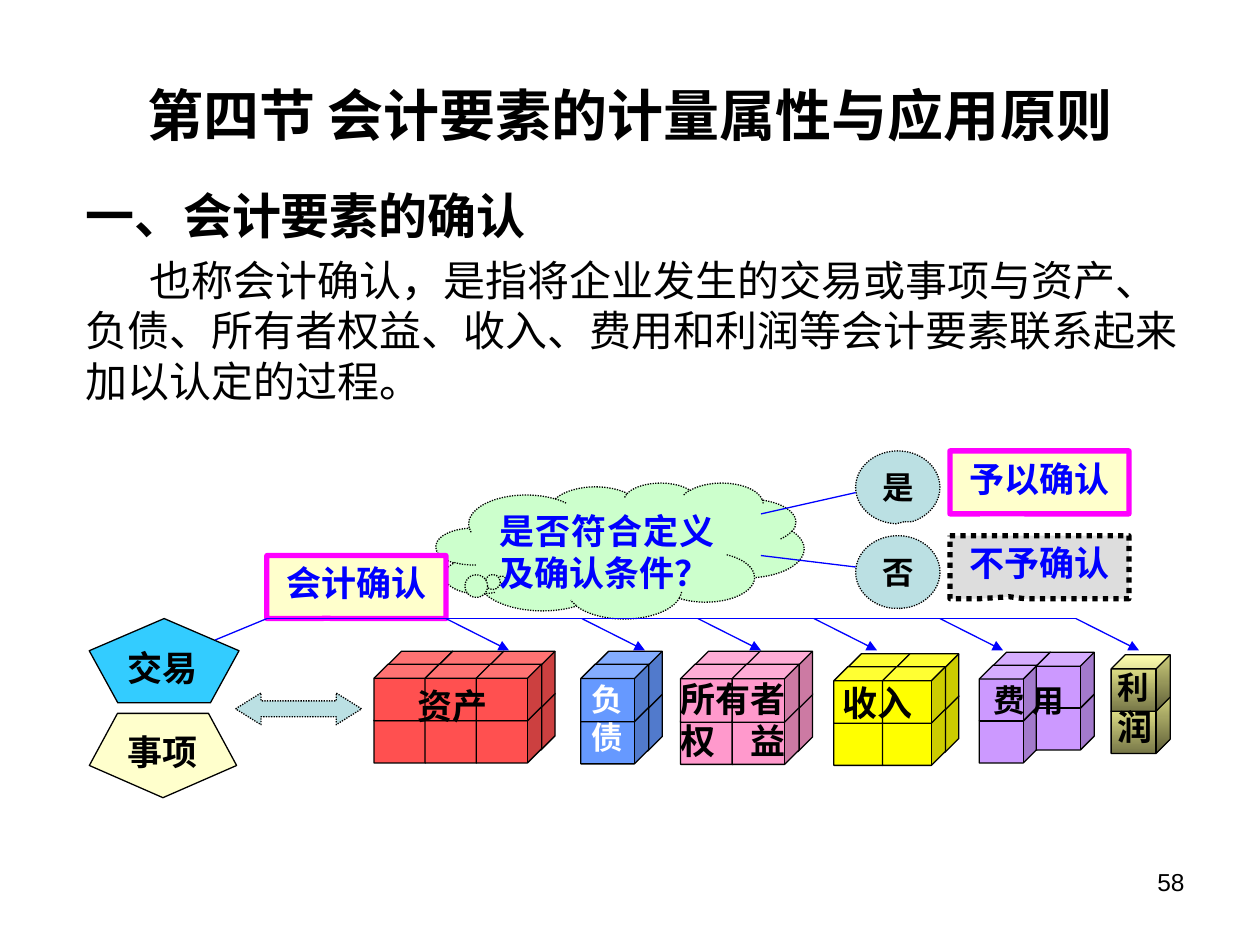
import pptx
import pptx.util
from lxml import etree
from pptx.dml.color import RGBColor
from pptx.enum.dml import MSO_LINE
from pptx.enum.shapes import MSO_CONNECTOR, MSO_SHAPE
from pptx.enum.text import MSO_ANCHOR, PP_ALIGN
from pptx.oxml.ns import qn
from pptx.util import Cm, Pt

BLACK, WHITE = RGBColor(0, 0, 0), RGBColor(255, 255, 255)
BLUE, PINK = RGBColor(0, 0, 255), RGBColor(255, 0, 255)
CREAM, SKY = RGBColor(255, 255, 204), RGBColor(0x33, 0xCC, 255)
MINT, TEAL = RGBColor(204, 255, 204), RGBColor(0xBB, 0xE0, 0xE3)
GREY, RED = RGBColor(0xDD, 0xDD, 0xDD), RGBColor(255, 0x50, 0x50)
AZURE, ROSE = RGBColor(0x66, 0x99, 255), RGBColor(255, 0x99, 204)
YELLOW, LILAC = RGBColor(255, 255, 0), RGBColor(204, 0x99, 255)
STRAW, OLIVE = RGBColor(255, 255, 0x99), RGBColor(0x76, 0x76, 0x47)
ARIAL, TIMES, NOTO = "Arial", "Times New Roman", "Noto Sans CJK SC"
LEFT, MID, RIGHT = PP_ALIGN.LEFT, PP_ALIGN.CENTER, PP_ALIGN.RIGHT

TITLE = "第四节 会计要素的计量属性与应用原则"
HEAD = "一、会计要素的确认"
BODY = ("也称会计确认，是指将企业发生的交易或事项与资产、负债、所有者权益、"
        "收入、费用和利润等会计要素联系起来加以认定的过程。")

# box, fill, turn, label, label top
SOURCES = [
    ((1.8, 14.38, 2.97, 1.7), CREAM, 180, "事项", 14.6),
    ((1.8, 12.47, 3.02, 1.7), SKY, 0, "交易", 12.9),
]
# fill, front left, front top, cube width, cube height, column step,
# cubes deep in each column
STACKS = [
    (RED, 7.54, 13.39, 1.32, 1.14, 1.03, (2, 2, 2)),
    (AZURE, 11.71, 13.39, 1.37, 1.16, 0, (2,)),
    (ROSE, 13.72, 13.39, 1.35, 1.17, 1.04, (2, 2)),
    (YELLOW, 16.81, 13.44, 1.27, 1.14, 0.98, (2, 2)),
    (LILAC, 19.74, 13.41, 1.17, 1.12, 0.88, (2, 1)),
    (None, 22.13, 13.46, 1.19, 1.14, 0, (1,)),
]
RISE, BACK, LIFT = 0.85, 0.27, 0.26
# box, alignment, colour, paragraphs of (text, size) runs
NAMES = [
    ((7.9, 13.67, 2.44, 1.42), MID, BLACK, [[("资产", 20)]]),
    ((11.68, 13.59, 0.99, 1.24), MID, WHITE, [[("负债", 18)]]),
    ((13.39, 13.54, 2.77, 1.88), MID, BLACK, [[("所有者", 20)], [("权　益", 20)]]),
    ((16.74, 13.61, 2.21, 1.42), LEFT, BLACK, [[("收入", 20)]]),
    ((19.71, 13.61, 2.06, 1.4), MID, BLACK, [[("费 用", 18)]]),
    ((22.28, 13.34, 1.14, 2.06), MID, BLACK, [[("利", 18), ("润", 20)]]),
]
CLOUD = MSO_SHAPE.CLOUD_CALLOUT
RECT = MSO_SHAPE.RECTANGULAR_CALLOUT
OVAL = MSO_SHAPE.OVAL_CALLOUT
# kind, box, pointer, fill, line, width, dotted, label, size, font, colour, align
CALLS = [
    (CLOUD, (8.79, 9.73, 7.42, 2.74), (-0.321, 0.215), MINT, BLACK, 0.75, True,
     "是否符合定义及确认条件？", 20, TIMES, BLUE, PP_ALIGN.JUSTIFY),
    (RECT, (5.38, 11.2, 3.61, 1.27), (-0.159, 0.497), CREAM, PINK, 3, False,
     "会计确认", 20, ARIAL, BLUE, MID),
    (OVAL, (17.25, 9.09, 1.7, 1.47), (0.073, 0.473), TEAL, BLACK, 0.75, True,
     "是", 18, ARIAL, BLACK, MID),
    (RECT, (19.15, 9.09, 3.61, 1.27), (-0.248, 0.497), CREAM, PINK, 3, False,
     "予以确认", 20, ARIAL, BLUE, MID),
    (OVAL, (17.25, 10.8, 1.7, 1.47), (0.031, 0.497), TEAL, BLACK, 0.75, True,
     "否", 18, ARIAL, BLACK, MID),
    (RECT, (19.15, 10.8, 3.61, 1.27), (-0.169, 0.469), GREY, BLACK, 3, True,
     "不予确认", 20, ARIAL, BLUE, MID),
]
RAIL = 12.47
LINES = [
    (5.38, RAIL, 21.69, RAIL), (5.38, RAIL, 4.34, 12.9),
    (15.34, 10.36, 17.25, 9.93), (15.34, 11.2, 17.25, 11.43),
]
DROPS = [8.99, 11.73, 14.07, 16.41, 18.95, 21.69]

deck = pptx.Presentation()
deck.slide_width, deck.slide_height = Cm(25.4), Cm(19.05)
slide = deck.slides.add_slide(deck.slide_layouts[5])
shapes = slide.shapes


def place(box):
    return [Cm(v) for v in box]


def write(para, text, size, font, color=BLACK, bold=True):
    run = para.add_run()
    run.text = text
    run.font.size, run.font.bold, run.font.name = Pt(size), bold, font
    run.font.color.rgb = color
    east = etree.SubElement(run.font._element, qn("a:ea"))
    east.set("typeface", NOTO)


def label(frame, paras, font, color=BLACK, align=MID, bold=True):
    """Fill a text frame with paragraphs of (text, size) runs."""
    frame.word_wrap = True
    frame.vertical_anchor = MSO_ANCHOR.TOP
    for i, runs in enumerate(paras):
        para = frame.add_paragraph() if i else frame.paragraphs[0]
        para.alignment = align
        for text, size in runs:
            write(para, text, size, font, color, bold)


def note(box, *args, **opts):
    label(shapes.add_textbox(*place(box)).text_frame, *args, **opts)


def draw(kind, box, fill, line=BLACK, width=0.75, dotted=False):
    shape = shapes.add_shape(kind, *place(box))
    shape.shadow.inherit = False
    if fill is None:
        shape.fill.gradient()
        shape.fill.gradient_angle = 270
        for stop, tone in zip(shape.fill.gradient_stops, (STRAW, OLIVE)):
            stop.color.rgb = tone
    else:
        shape.fill.solid()
        shape.fill.fore_color.rgb = fill
    shape.line.color.rgb = line
    shape.line.width = Pt(width)
    if dotted:
        shape.line.dash_style = MSO_LINE.ROUND_DOT
    return shape


def link(ends, arrow=False):
    wire = shapes.add_connector(MSO_CONNECTOR.STRAIGHT, *place(ends))
    wire.line.color.rgb = BLUE
    wire.line.width = Pt(0.75)
    if arrow:
        tip = etree.SubElement(wire.line._get_or_add_ln(), qn("a:tailEnd"))
        tip.set("type", "triangle")
    etree.SubElement(wire._element.spPr, qn("a:effectLst"))


title = shapes.title
title.left, title.top, title.width, title.height = place((1.27, 1.19, 22.86, 2.21))
label(title.text_frame, [[(TITLE, 32)]], ARIAL)
title.text_frame.vertical_anchor = MSO_ANCHOR.MIDDLE

frame = shapes.add_textbox(*place((1.47, 3.61, 22.86, 5.49))).text_frame
label(frame, [[(HEAD, 28)]], NOTO, align=LEFT)
para = frame.add_paragraph()
para.space_before = Pt(6)
para._p.get_or_add_pPr().set("indent", str(Cm(1.3)))
write(para, BODY, 24, NOTO, bold=False)

for box, fill, turn, text, top in SOURCES:
    draw(MSO_SHAPE.REGULAR_PENTAGON, box, fill).rotation = turn
    note((2.01, top, 2.54, 1.27), [[(text, 20)]], ARIAL)

for fill, left, top, wide, high, step, depths in STACKS:
    for col, deep in enumerate(depths):
        for back in (1, 0)[:deep]:
            for row in (1, 0):
                x = left + col * step + back * BACK
                y = top + row * RISE - back * LIFT
                draw(MSO_SHAPE.CUBE, (x, y, wide, high), fill)

for box, align, color, paras in NAMES:
    note(box, paras, TIMES, color, align)

for kind, box, tip, fill, line, width, dotted, text, size, font, color, align in CALLS:
    call = draw(kind, box, fill, line, width, dotted)
    call.adjustments[0], call.adjustments[1] = tip
    label(call.text_frame, [[(text, size)]], font, color, align)

for ends in LINES:
    link(ends)
for x in DROPS:
    link((x, RAIL, x + 1.27, RAIL + 0.64), arrow=True)

arrow = draw(MSO_SHAPE.LEFT_RIGHT_ARROW, (4.75, 13.97, 2.54, 0.64), TEAL, dotted=True)
arrow.adjustments[0], arrow.adjustments[1] = 0.5, 0.8
note((18.21, 17.35, 5.92, 1.32), [[("58", 14)]], ARIAL, align=RIGHT, bold=False)

deck.save("out.pptx")
